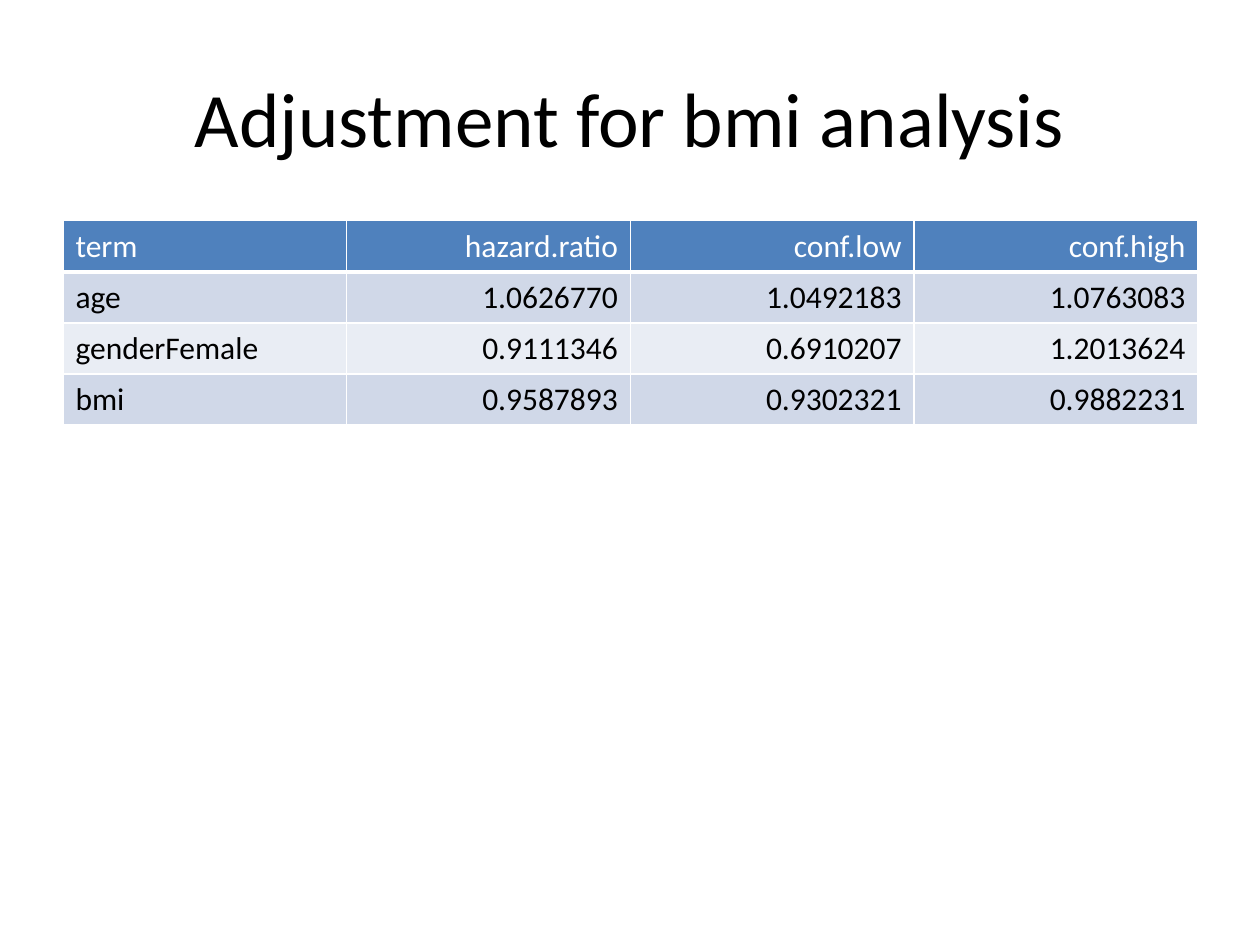
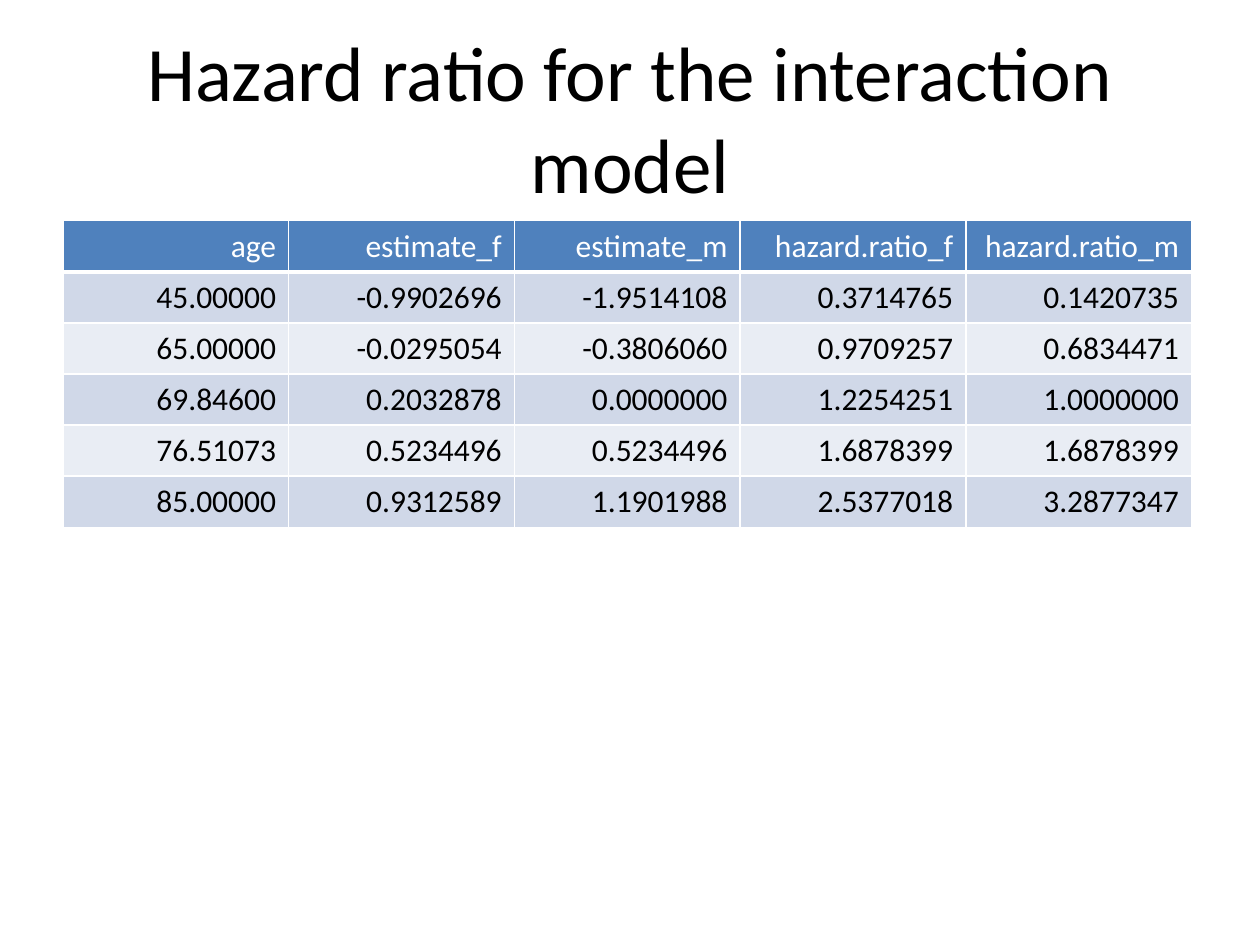
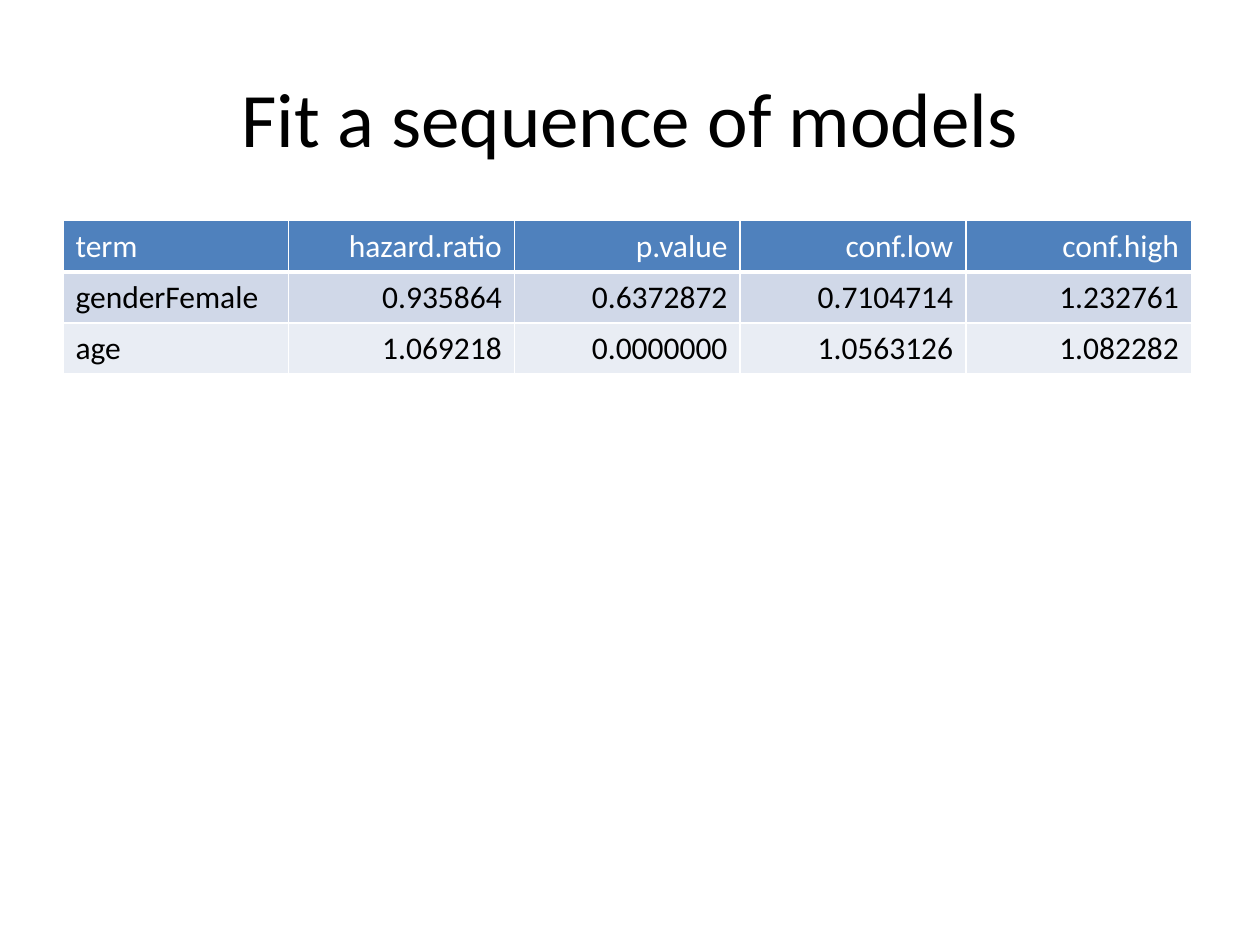
from lxml import etree
from pptx import Presentation
from pptx.dml.color import RGBColor
from pptx.enum.text import MSO_ANCHOR, MSO_AUTO_SIZE, PP_ALIGN
from pptx.oxml.ns import qn
from pptx.util import Cm, Pt

LEFT, CENTER, RIGHT = PP_ALIGN.LEFT, PP_ALIGN.CENTER, PP_ALIGN.RIGHT
MIDDLE = MSO_ANCHOR.MIDDLE
NO_AUTOFIT = MSO_AUTO_SIZE.NONE

COLORS = {
    "text": "000000",
    "header_text": "FFFFFF",
    "header": "4F81BD",
    "odd_row": "D0D8E8",
    "even_row": "E9EDF4",
    "border": "FFFFFF",
}
FONT = "Calibri"
TITLE_ONLY = 5
TITLE_BOX = (Cm(1.27), Cm(0.76), Cm(22.86), Cm(3.18))
TABLE_LEFT, TABLE_TOP = Cm(1.27), Cm(4.45)
ROW_HEIGHT = Cm(1.03)

RESULTS = [
    ("Adjustment for bmi analysis", Cm(5.72), [
        ("term", "hazard.ratio", "conf.low", "conf.high"),
        ("age", "1.0626770", "1.0492183", "1.0763083"),
        ("genderFemale", "0.9111346", "0.6910207", "1.2013624"),
        ("bmi", "0.9587893", "0.9302321", "0.9882231"),
    ]),
    ("Hazard ratio for the interaction model", Cm(4.55), [
        ("age", "estimate_f", "estimate_m", "hazard.ratio_f", "hazard.ratio_m"),
        ("45.00000", "-0.9902696", "-1.9514108", "0.3714765", "0.1420735"),
        ("65.00000", "-0.0295054", "-0.3806060", "0.9709257", "0.6834471"),
        ("69.84600", "0.2032878", "0.0000000", "1.2254251", "1.0000000"),
        ("76.51073", "0.5234496", "0.5234496", "1.6878399", "1.6878399"),
        ("85.00000", "0.9312589", "1.1901988", "2.5377018", "3.2877347"),
    ]),
    ("Fit a sequence of models", Cm(4.55), [
        ("term", "hazard.ratio", "p.value", "conf.low", "conf.high"),
        ("genderFemale", "0.935864", "0.6372872", "0.7104714", "1.232761"),
        ("age", "1.069218", "0.0000000", "1.0563126", "1.082282"),
    ]),
]


def add_text(paragraph, text, size, color, alignment):
    """Add one formatted run to an aligned paragraph."""
    paragraph.alignment = alignment
    run = paragraph.add_run()
    run.text = text
    run.font.name = FONT
    run.font.size = Pt(size)
    run.font.bold = False
    run.font.color.rgb = RGBColor.from_string(COLORS[color])


def set_borders(cell, bottom):
    """Draw the four borders of a cell, with the bottom width in points."""
    properties = cell._tc.get_or_add_tcPr()
    for side, width in (("L", 1), ("R", 1), ("T", 1), ("B", bottom)):
        line = etree.SubElement(properties, qn(f"a:ln{side}"), w=str(Pt(width)))
        fill = etree.SubElement(line, qn("a:solidFill"))
        etree.SubElement(fill, qn("a:srgbClr"), val=COLORS["border"])


def fill_title(title, text, box):
    """Place the title placeholder in its box and write its text."""
    title.left, title.top, title.width, title.height = box
    frame = title.text_frame
    frame.word_wrap = True
    frame.auto_size = NO_AUTOFIT
    frame.vertical_anchor = MIDDLE
    add_text(frame.paragraphs[0], text, 44, "text", CENTER)


def add_estimates(slide, rows, left, top, column_width):
    """Add a banded table of model estimates."""
    count = len(rows[0])
    table = slide.shapes.add_table(
        len(rows), count, left, top, column_width * count, ROW_HEIGHT * len(rows)
    ).table
    for column in table.columns:
        column.width = column_width
    for row_index, values in enumerate(rows):
        is_header = row_index == 0
        band = "header" if is_header else ("even_row", "odd_row")[row_index % 2]
        for column_index, value in enumerate(values):
            cell = table.cell(row_index, column_index)
            set_borders(cell, 3 if is_header else 1)
            cell.fill.solid()
            cell.fill.fore_color.rgb = RGBColor.from_string(COLORS[band])
            add_text(
                cell.text_frame.paragraphs[0], value, 18,
                "header_text" if is_header else "text",
                LEFT if rows[0][column_index] == "term" else RIGHT,
            )


def add_result_slide(deck, heading, column_width, rows):
    """Add a slide with a title above a table of estimates."""
    slide = deck.slides.add_slide(deck.slide_layouts[TITLE_ONLY])
    fill_title(slide.shapes.title, heading, TITLE_BOX)
    add_estimates(slide, rows, TABLE_LEFT, TABLE_TOP, column_width)


def main():
    """Build the deck and save it."""
    deck = Presentation()
    deck.slide_width, deck.slide_height = Cm(25.4), Cm(19.05)
    for heading, column_width, rows in RESULTS:
        add_result_slide(deck, heading, column_width, rows)
    deck.save("out.pptx")


if __name__ == "__main__":
    main()
